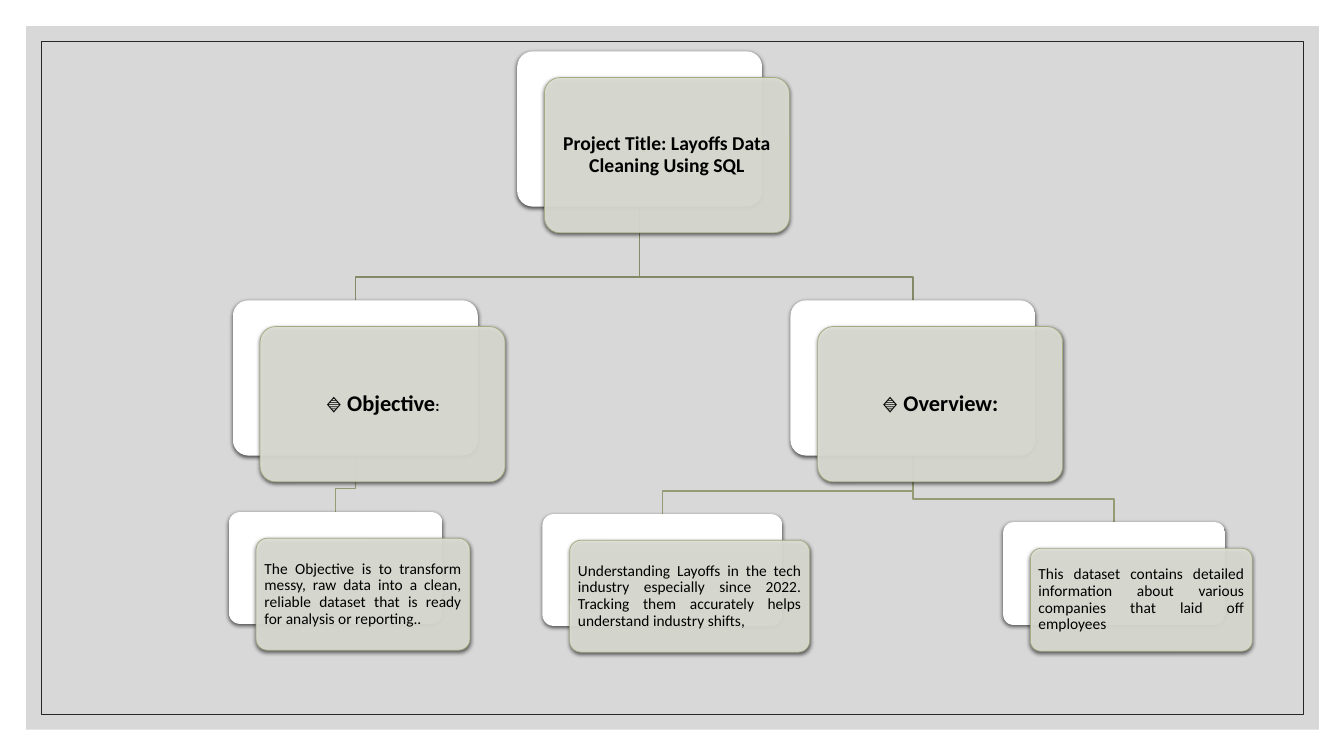
from dataclasses import dataclass
from typing import NamedTuple, Optional

from lxml import etree
from pptx import Presentation
from pptx import util as u
from pptx.dml.color import RGBColor
from pptx.enum import shapes, text
from pptx.oxml import ns


@dataclass(frozen=True)
class Theme:
    font: str = "Calibri"
    ink: str = "000000"
    panel: str = "BFBFBF"
    frame: str = "262626"
    back_top: str = "FFFFFF"
    back_bottom: str = "FDFDFD"
    card: str = "E1E2D8"
    card_line: str = "A5AB81"
    upper_link: str = "848967"
    lower_link: str = "969B75"
    title_size: float = 14
    heading_size: float = 16
    body_size: float = 11


class Run(NamedTuple):
    text: str
    size: float
    bold: bool = False


@dataclass(frozen=True)
class Node:
    left: float
    top: float
    width: float
    height: float
    runs: tuple[Run, ...]
    inset: float
    align: text.PP_ALIGN = text.PP_ALIGN.CENTER
    parent: Optional["Node"] = None
    link: str = ""

    @property
    def center(self) -> float:
        return self.left + self.width / 2

    @property
    def bottom(self) -> float:
        return self.top + self.height


THEME = Theme()
CARD_DX, CARD_DY = 0.27, 0.26
LINK_DROP = 0.23
BIG = (2.43, 1.54)


def heading(left: float, parent: Node, *runs: Run) -> Node:
    return Node(left, 2.98, *BIG, runs, 0.07, parent=parent, link=THEME.upper_link)


def detail(left: float, top: float, width: float, height: float,
           parent: Node, words: str) -> Node:
    return Node(left, top, width, height, (Run(words, THEME.body_size),), 0.05,
                text.PP_ALIGN.JUSTIFY, parent, THEME.lower_link)


def rgb(color: str) -> RGBColor:
    return RGBColor.from_string(color)


def set_fill(sp, color: str, alpha: int) -> None:
    sp.fill.solid()
    sp.fill.fore_color.rgb = rgb(color)
    clr = sp._element.spPr.find(ns.qn("a:solidFill"))[0]
    etree.SubElement(clr, ns.qn("a:alpha"), val=str(alpha * 1000))


def set_line(sp, color: str, width: float) -> None:
    sp.line.color.rgb = rgb(color)
    sp.line.width = u.Pt(width)


def add_box(s, kind, left: float, top: float, width: float, height: float):
    sp = s.shapes.add_shape(kind, u.Inches(left), u.Inches(top),
                            u.Inches(width), u.Inches(height))
    sp.shadow.inherit = False
    return sp


def add_rounded(s, left: float, top: float, width: float, height: float):
    sp = add_box(s, shapes.MSO_SHAPE.ROUNDED_RECTANGLE, left, top, width, height)
    sp.adjustments[0] = 0.1
    effects = sp._element.spPr.find(ns.qn("a:effectLst"))
    shadow = etree.SubElement(effects, ns.qn("a:outerShdw"), blurRad=str(u.Pt(3)),
                              dist=str(u.Pt(1)), dir="5400000", rotWithShape="0")
    clr = etree.SubElement(shadow, ns.qn("a:srgbClr"), val=THEME.ink)
    etree.SubElement(clr, ns.qn("a:alpha"), val="63000")
    return sp


def add_background(s) -> None:
    panel = add_box(s, shapes.MSO_SHAPE.RECTANGLE, 0.26, 0.26, 12.82, 6.98)
    set_fill(panel, THEME.panel, 60)
    panel.line.fill.background()
    frame = add_box(s, shapes.MSO_SHAPE.RECTANGLE, 0.41, 0.41, 12.52, 6.68)
    frame.fill.background()
    set_line(frame, THEME.frame, 0.5)


def add_link(s, parent: Node, child: Node) -> None:
    bend = child.top - LINK_DROP
    corners = [(parent.center, parent.bottom), (parent.center, bend),
               (child.center, bend), (child.center, child.top)]
    start, *rest = [(u.Inches(x), u.Inches(y)) for x, y in corners]
    builder = s.shapes.build_freeform(*start)
    builder.add_line_segments(rest, close=False)
    sp = builder.convert_to_shape()
    sp.shadow.inherit = False
    sp.fill.background()
    set_line(sp, child.link, 1)


def add_node(s, node: Node) -> None:
    back = add_rounded(s, node.left, node.top, node.width, node.height)
    back.fill.gradient()
    back.fill.gradient_angle = 270
    for stop, color in zip(back.fill.gradient_stops, (THEME.back_top, THEME.back_bottom)):
        stop.color.rgb = rgb(color)
    back.line.fill.background()

    card = add_rounded(s, node.left + CARD_DX, node.top + CARD_DY, node.width, node.height)
    set_fill(card, THEME.card, 90)
    set_line(card, THEME.card_line, 0.5)
    tf = card.text_frame
    tf.word_wrap = True
    tf.vertical_anchor = text.MSO_ANCHOR.MIDDLE
    tf.margin_left = tf.margin_right = u.Inches(node.inset)
    tf.margin_top = tf.margin_bottom = u.Inches(node.inset)
    p = tf.paragraphs[0]
    p.alignment = node.align
    p.line_spacing = 0.9
    for run in node.runs:
        r = p.add_run()
        r.text = run.text
        r.font.name = THEME.font
        r.font.size = u.Pt(run.size)
        r.font.bold = run.bold
        r.font.color.rgb = rgb(THEME.ink)


def build_nodes() -> list[Node]:
    title = Node(5.13, 0.51, *BIG, (
        Run("Project Title: Layoffs Data Cleaning Using SQL", THEME.title_size, True),), 0.06)
    objective = heading(2.31, title, Run("🔹 Objective", THEME.heading_size, True),
                        Run(":", THEME.body_size, True))
    overview = heading(7.84, title, Run("🔹 Overview:", THEME.heading_size, True))
    return [
        title,
        objective,
        detail(2.27, 5.08, 2.12, 1.11, objective,
               "The Objective is to transform messy, raw data into a clean, "
               "reliable dataset that is ready for analysis or reporting.."),
        overview,
        detail(5.38, 5.1, 2.38, 1.11, overview,
               "Understanding Layoffs in the tech industry especially since 2022. "
               "Tracking them accurately helps understand industry shifts,"),
        detail(9.95, 5.18, 2.2, 1.02, overview,
               "This dataset contains detailed information about various "
               "companies that laid off employees"),
    ]


def main() -> None:
    prs = Presentation()
    prs.slide_width, prs.slide_height = u.Inches(13.33), u.Inches(7.5)
    s = prs.slides.add_slide(prs.slide_layouts[6])
    add_background(s)
    nodes = build_nodes()
    for node in reversed(nodes):
        if node.parent:
            add_link(s, node.parent, node)
    for node in nodes:
        add_node(s, node)
    prs.save("out.pptx")


if __name__ == "__main__":
    main()
